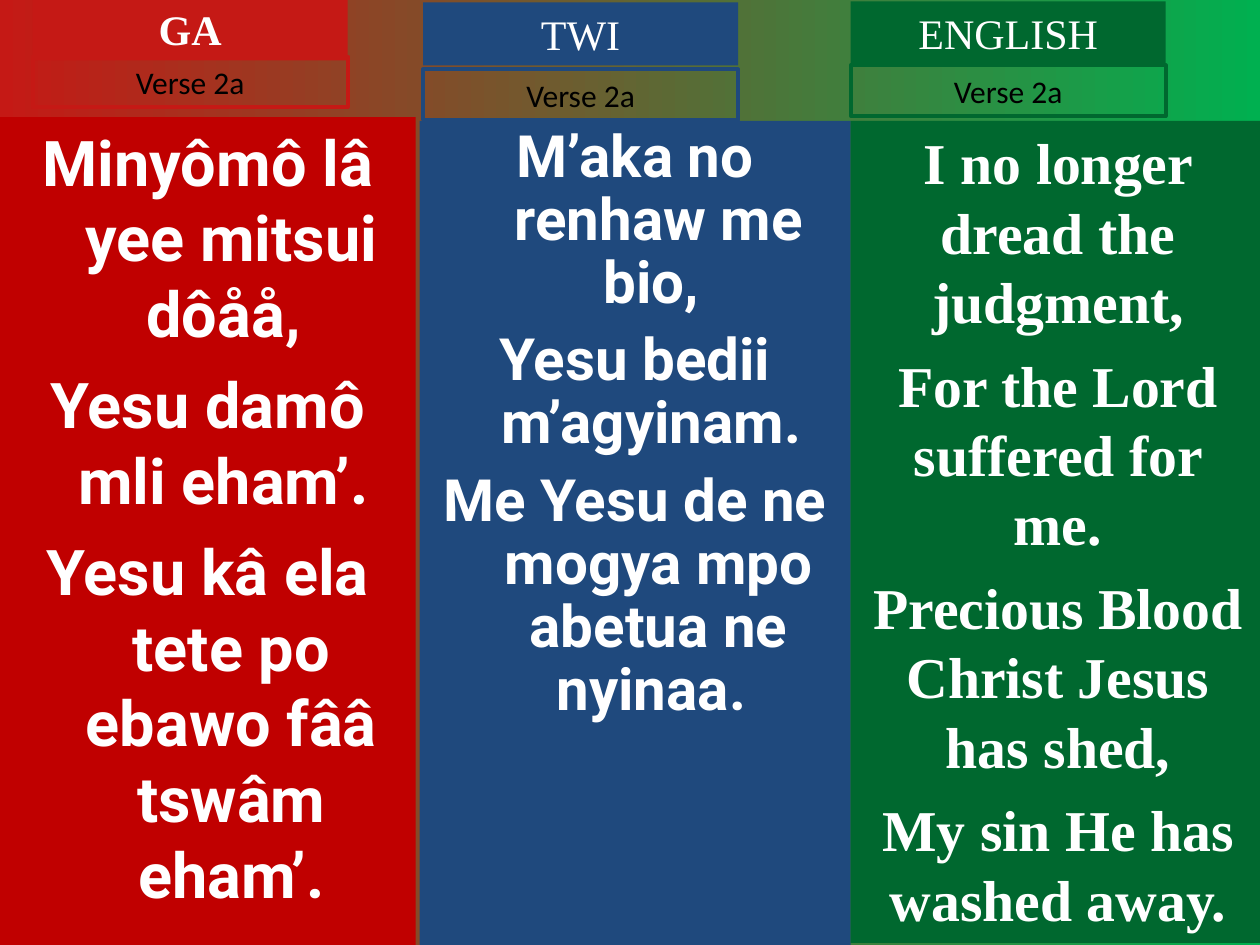
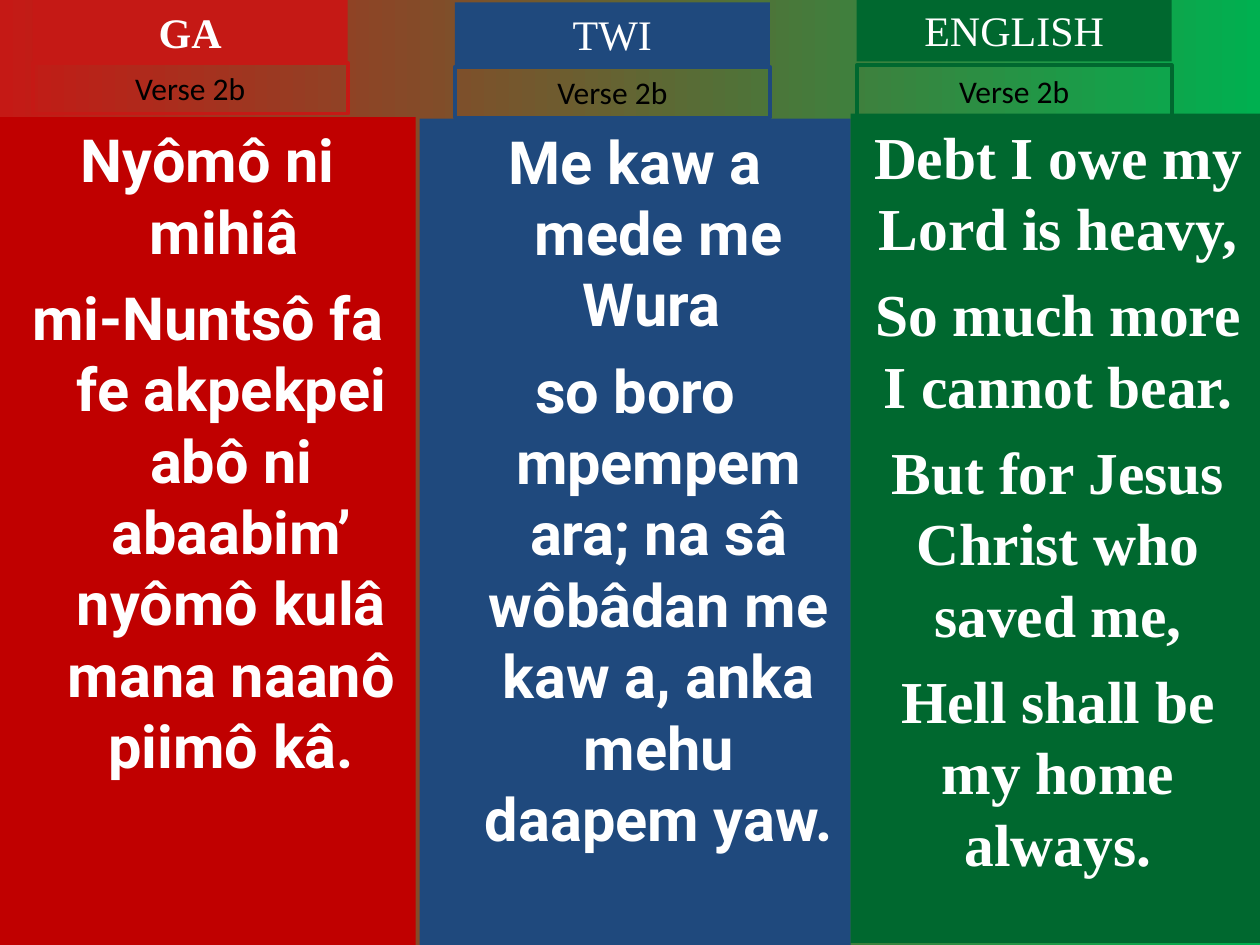
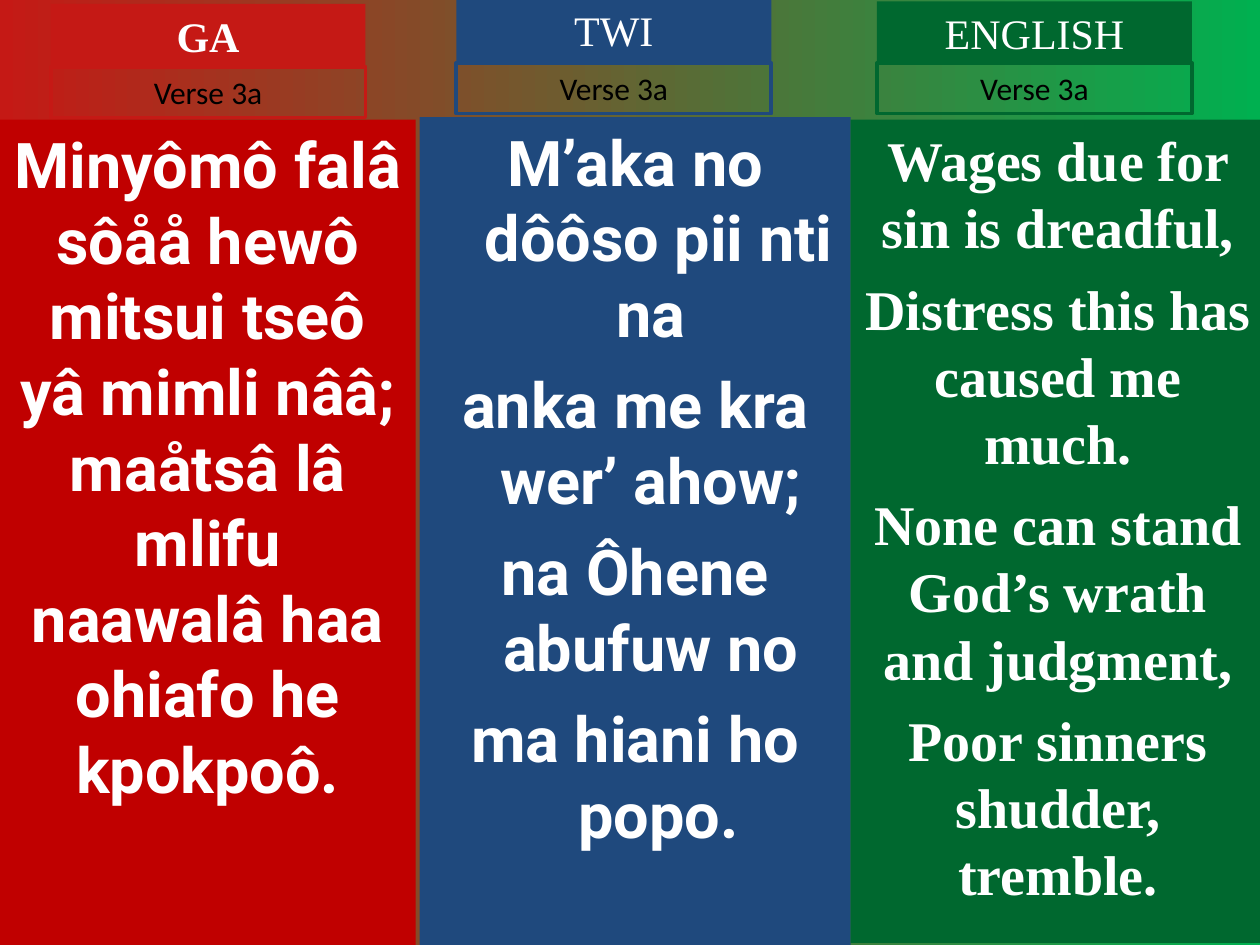
from dataclasses import dataclass

from pptx import Presentation
from pptx.dml.color import RGBColor
from pptx.enum.shapes import MSO_SHAPE
from pptx.enum.text import MSO_ANCHOR, PP_ALIGN
from pptx.util import Cm, Pt


@dataclass(frozen=True)
class Theme:
    sweep: tuple = ("C51915", "00B050")
    white: str = "FFFFFF"
    black: str = "000000"
    serif: str = "Times New Roman"
    lyric_font: str = "Roboto"
    verse_font: str = "Calibri"
    tag_size: float = 24
    verse_size: float = 18
    frame_width: float = 2.25
    hanging: float = 0.95


@dataclass(frozen=True)
class Language:
    name: str
    left: float
    width: float
    bottom: float
    panel_color: str
    tag_color: str
    font: str
    bold_tag: bool = False


@dataclass(frozen=True)
class Stanza:
    top: float            # top of the lyric panel
    tag_at: tuple         # left and top of the language tag
    verse_top: float
    size: float
    lines: tuple
    hanging: bool = True
    line_spacing: float = 1.0


THEME = Theme()
TAG_WIDTH, TAG_HEIGHT, VERSE_HEIGHT = 6.35, 1.27, 1.02

LANGUAGES = (
    Language("GA", 0, 8.38, 19.05, "C00000", "C51915", THEME.lyric_font, True),
    Language("TWI", 8.46, 8.69, 19.05, "1F497D", "1F497D", THEME.lyric_font),
    Language("ENGLISH", 17.15, 8.36, 19.01, "00682F", "00682F", THEME.serif),
)

# Trailing spaces belong to the centred hanging lines
VERSES = {
    "Verse 2a": (
        Stanza(2.36, (0.66, -0.05), 1.14, 36, (
            "Minyômô lâ yee mitsui dôåå, ",
            "Yesu damô mli eham’. ",
            "Yesu kâ ela tete po ebawo fââ tswâm eham’.")),
        Stanza(2.44, (8.53, 0.05), 1.4, 33.3, (
            "M’aka no renhaw me bio, ",
            "Yesu bedii m’agyinam. ",
            "Me Yesu de ne mogya mpo abetua ne nyinaa. "), line_spacing=0.9),
        Stanza(2.44, (17.15, 0.03), 1.32, 33, (
            "I no longer dread the judgment,",
            "For the Lord suffered for me.",
            "Precious Blood Christ Jesus has shed,",
            "My sin He has washed away."), hanging=False),
    ),
    "Verse 2b": (
        Stanza(2.36, (0.66, 0), 1.27, 34, (
            "Nyômô ni mihiâ ",
            "mi-Nuntsô fa fe akpekpei abô ni abaabim’ nyômô kulâ mana "
            "naanô piimô kâ.")),
        Stanza(2.39, (9.17, 0.05), 1.35, 34, (
            "Me kaw a mede me Wura ",
            "so boro mpempem ara; na sâ wôbâdan me kaw a, anka mehu "
            "daapem yaw.")),
        Stanza(2.29, (17.27, -0.03), 1.32, 34, (
            "Debt I owe my Lord is heavy,",
            "So much more I cannot bear.",
            "But for Jesus Christ who saved me,",
            "Hell shall be my home always."), hanging=False),
    ),
    "Verse 3a": (
        Stanza(2.41, (1.02, 0.08), 1.35, 36, (
            "Minyômô falâ sôåå hewô mitsui tseô yâ mimli nââ; maåtsâ lâ "
            "mlifu naawalâ haa ohiafo he kpokpoô.",), hanging=False),
        Stanza(2.36, (9.2, -0.03), 1.27, 36, (
            "M’aka no dôôso pii nti na ",
            "anka me kra wer’ ahow; ",
            "na Ôhene abufuw no ",
            "ma hiani ho popo.")),
        Stanza(2.41, (17.68, 0.03), 1.27, 32, (
            "Wages due for sin is dreadful,",
            "Distress this has caused me much.",
            "None can stand God’s wrath and judgment,",
            "Poor sinners shudder, tremble."), hanging=False),
    ),
}


def write(frame, lines, *, font, size, color, bold=False, hanging=0,
          line_spacing=None):
    """Fill a text frame with centred paragraphs, a quarter of the size apart."""
    frame.word_wrap = True
    frame.vertical_anchor = MSO_ANCHOR.TOP
    for index, line in enumerate(lines):
        paragraph = frame.add_paragraph() if index else frame.paragraphs[0]
        paragraph.alignment = PP_ALIGN.CENTER
        paragraph.space_before = Pt(size / 4 if index else 0)
        if line_spacing:
            paragraph.line_spacing = line_spacing
        if hanging:
            properties = paragraph._p.get_or_add_pPr()
            properties.set("marL", str(Cm(hanging)))
            properties.set("indent", str(-Cm(hanging)))
        run = paragraph.add_run()
        run.text = line
        run.font.name = font
        run.font.size = Pt(size)
        run.font.bold = bold
        run.font.color.rgb = RGBColor.from_string(color)


class HymnDeck:
    def __init__(self, theme):
        self.theme = theme
        self.slide = None
        self.deck = Presentation()
        self.deck.slide_width, self.deck.slide_height = Cm(25.4), Cm(19.05)
        # The red to green sweep lies behind every slide
        sweep = self.deck.slide_master.background.fill
        sweep.gradient()
        sweep.gradient_angle = 0
        for stop, color in zip(sweep.gradient_stops, theme.sweep):
            stop.color.rgb = RGBColor.from_string(color)

    def new_slide(self):
        self.slide = self.deck.slides.add_slide(self.deck.slide_layouts[6])

    def box(self, left, top, width, height, fill=None, line=None):
        shape = self.slide.shapes.add_shape(
            MSO_SHAPE.RECTANGLE, Cm(left), Cm(top), Cm(width), Cm(height))
        shape.shadow.inherit = False
        if fill:
            shape.fill.solid()
            shape.fill.fore_color.rgb = RGBColor.from_string(fill)
        else:
            shape.fill.background()
        if line:
            shape.line.color.rgb = RGBColor.from_string(line)
            shape.line.width = Pt(self.theme.frame_width)
        else:
            shape.line.fill.background()
        return shape.text_frame

    def panel(self, language, stanza):
        frame = self.box(language.left, stanza.top, language.width,
                         language.bottom - stanza.top,
                         fill=language.panel_color)
        write(frame, stanza.lines, font=language.font, size=stanza.size,
              color=self.theme.white, bold=True,
              hanging=self.theme.hanging if stanza.hanging else 0,
              line_spacing=stanza.line_spacing)

    def tag(self, language, stanza):
        frame = self.box(*stanza.tag_at, TAG_WIDTH, TAG_HEIGHT,
                         fill=language.tag_color)
        write(frame, [language.name], font=self.theme.serif,
              size=self.theme.tag_size, color=self.theme.white,
              bold=language.bold_tag)

    def verse_label(self, language, stanza, verse):
        frame = self.box(stanza.tag_at[0], stanza.verse_top, TAG_WIDTH,
                         VERSE_HEIGHT, line=language.tag_color)
        write(frame, [verse], font=self.theme.verse_font,
              size=self.theme.verse_size, color=self.theme.black)


def main():
    hymn = HymnDeck(THEME)
    for verse, stanzas in VERSES.items():
        hymn.new_slide()
        for language, stanza in zip(LANGUAGES, stanzas):
            hymn.panel(language, stanza)
            hymn.tag(language, stanza)
            hymn.verse_label(language, stanza, verse)
    hymn.deck.save("out.pptx")


if __name__ == "__main__":
    main()
